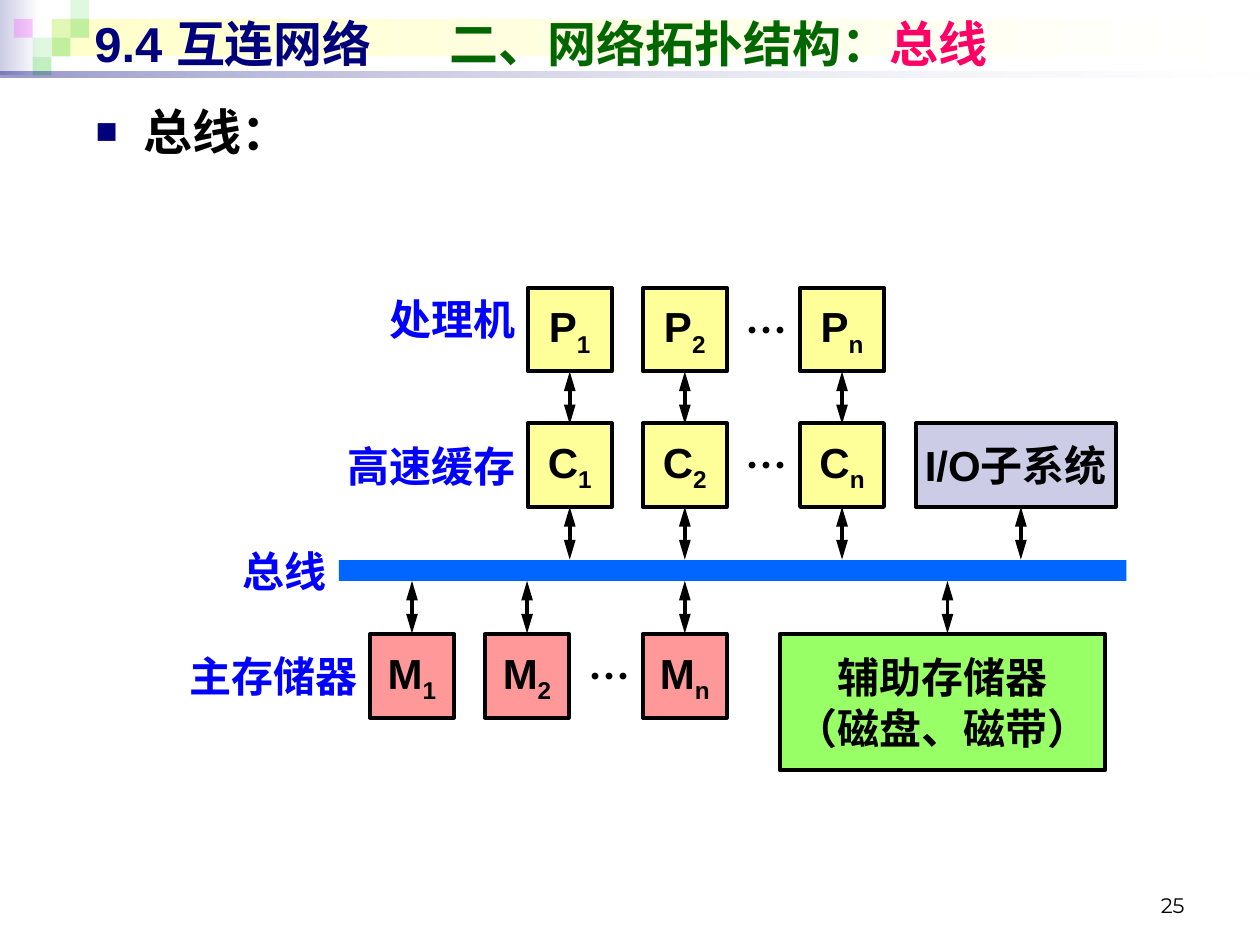
from pptx import Presentation
from pptx.dml.color import RGBColor
from pptx.enum.shapes import MSO_CONNECTOR as Connector, MSO_SHAPE as Shape
from pptx.enum.text import MSO_ANCHOR as Anchor, MSO_AUTO_SIZE as AutoSize, PP_ALIGN as Align
from pptx.oxml.ns import qn
from pptx.util import Cm, Pt
from lxml.etree import SubElement

BLACK = RGBColor(0x00, 0x00, 0x00)
WHITE = RGBColor(0xFF, 0xFF, 0xFF)
NAVY = RGBColor(0x00, 0x00, 0x7D)
DARK_GREEN = RGBColor(0x00, 0x66, 0x00)
PINK = RGBColor(0xFF, 0x00, 0x66)
LABEL_BLUE = RGBColor(0x00, 0x00, 0xFF)
BUS_BLUE = RGBColor(0x00, 0x66, 0xFF)
YELLOW = RGBColor(0xFF, 0xFF, 0x99)
CREAM = RGBColor(0xFF, 0xFF, 0xCC)
LAVENDER = RGBColor(0xCC, 0xCC, 0xE6)
SALMON = RGBColor(0xFF, 0x99, 0x99)
LIME = RGBColor(0x99, 0xFF, 0x66)
GREEN = RGBColor(0x33, 0xCC, 0x33)
MAGENTA = RGBColor(0xFF, 0x00, 0xFF)

CHINESE_FONT = "Noto Sans CJK SC"
BOX = 1.69
ARROW = 1.06
PROCESSOR_TOP = 5.8
CACHE_TOP = 8.53
BUS_TOP = 11.29
BUS_HEIGHT = 0.42
MEMORY_TOP = 12.78
PROCESSOR_COLUMNS = {"1": 10.64, "2": 12.96, "n": 16.13}
MEMORY_COLUMNS = {"1": 7.46, "2": 9.78, "n": 12.96}
TILE = 0.38


def format_paragraph(paragraph, size, color, name="Arial", bold=True, align=Align.LEFT):
    paragraph.alignment = align
    font = paragraph.font
    font.size, font.bold, font.name = Pt(size), bold, name
    font.color.rgb = color
    SubElement(font._element, qn("a:ea"), typeface=CHINESE_FONT)


def add_rectangle(slide, left, top, width, height):
    shape = slide.shapes.add_shape(Shape.RECTANGLE, Cm(left), Cm(top), Cm(width), Cm(height))
    shape.shadow.inherit = False
    shape.line.fill.background()
    return shape


def set_opacity(shape, *percents):
    colors = shape._element.spPr.iter(qn("a:srgbClr"))
    for color, percent in zip(list(colors), percents):
        SubElement(color, qn("a:alpha"), val=str(percent * 1000))


def add_solid(slide, left, top, width, height, color):
    shape = add_rectangle(slide, left, top, width, height)
    shape.fill.solid()
    shape.fill.fore_color.rgb = color
    return shape


def add_gradient(slide, left, top, width, height, start):
    shape = add_rectangle(slide, left, top, width, height)
    shape.fill.gradient()
    shape.fill.gradient_angle = 0
    for stop, color, position in zip(shape.fill.gradient_stops, (start, WHITE), (0, 1)):
        stop.color.rgb = color
        stop.position = position
    return shape


def add_box(slide, left, top, width, height, color, text, subscript=""):
    shape = add_solid(slide, left, top, width, height, color)
    shape.line.color.rgb = BLACK
    shape.line.width = Pt(2.25)
    frame = shape.text_frame
    frame.word_wrap = False
    frame.vertical_anchor = Anchor.MIDDLE
    frame.text = text
    paragraph = frame.paragraphs[0]
    if subscript:
        run = paragraph.add_run()
        run.text = subscript
        run.font._element.set("baseline", "-25000")
    format_paragraph(paragraph, 24, BLACK, align=Align.CENTER)


def add_text(slide, left, top, width, height, text):
    frame = slide.shapes.add_textbox(Cm(left), Cm(top), Cm(width), Cm(height)).text_frame
    frame.word_wrap = True
    frame.text = text
    return frame


def add_label(slide, right, top, width, text, color=LABEL_BLUE, name="Arial"):
    frame = add_text(slide, right - width, top, width, 1.27, text)
    format_paragraph(frame.paragraphs[0], 24, color, name, align=Align.RIGHT)


def add_arrow(slide, x, top):
    connector = slide.shapes.add_connector(
        Connector.STRAIGHT, Cm(x), Cm(top), Cm(x), Cm(top + ARROW))
    connector.line.color.rgb = BLACK
    connector.line.width = Pt(2.25)
    line = connector.line._get_or_add_ln()
    for end in ("a:headEnd", "a:tailEnd"):
        SubElement(line, qn(end), type="triangle", w="med", len="lg")
    SubElement(connector._element.spPr, qn("a:effectLst"))


def add_decoration(slide):
    add_gradient(slide, 0, 0, 0.8, 1.52, LAVENDER)
    add_gradient(slide, 1.04, 0.38, 24.26, 0.76, CREAM)
    tiles = [(2, 1, GREEN, 15), (3, 0, GREEN, 15), (3, 1, GREEN, 30), (1, 2, GREEN, 15),
             (0, 1, MAGENTA, 20), (2, 2, GREEN, 30), (1, 3, GREEN, 30)]
    for column, row, color, opacity in tiles:
        tile = add_solid(slide, 0.28 + column * TILE, row * TILE, TILE, TILE, color)
        set_opacity(tile, opacity)
    set_opacity(add_gradient(slide, 0, 1.44, 25.4, 0.13, NAVY), 40, 10)


def add_title(slide):
    title = slide.shapes.title
    title.left, title.top, title.width, title.height = Cm(1.65), Cm(0.13), Cm(22.86), Cm(1.45)
    slide.shapes._spTree.append(title._element)
    frame = title.text_frame
    frame.auto_size = AutoSize.NONE
    frame.vertical_anchor = Anchor.MIDDLE
    paragraph = frame.paragraphs[0]
    tabs = SubElement(paragraph._p.get_or_add_pPr(), qn("a:tabLst"))
    SubElement(tabs, qn("a:tab"), pos=str(Cm(7.16)), algn="l")
    for text, color in (("9.4 互连网络\t", NAVY), ("二、网络拓扑结构：", DARK_GREEN), ("总线", PINK)):
        run = paragraph.add_run()
        run.text = text
        run.font.color.rgb = color
    format_paragraph(paragraph, 28, NAVY)


def add_bullet(slide, text):
    paragraph = add_text(slide, 1.68, 1.93, 22.02, 1.6, text).paragraphs[0]
    properties = paragraph._p.get_or_add_pPr()
    properties.set("marL", str(Cm(0.97)))
    properties.set("indent", str(-Cm(0.97)))
    SubElement(SubElement(properties, qn("a:buClr")), qn("a:srgbClr"), val=str(NAVY))
    SubElement(properties, qn("a:buSzPct"), val="75000")
    SubElement(properties, qn("a:buFont"), typeface="Arial")
    SubElement(properties, qn("a:buChar"), char="■")
    format_paragraph(paragraph, 28, BLACK, "Times New Roman")


def add_row(slide, letter, columns, top, color, arrow_top):
    for subscript, left in columns.items():
        add_box(slide, left, top, BOX, BOX, color, letter, subscript)
        add_arrow(slide, left + BOX / 2, arrow_top)
    add_label(slide, columns["n"], top + 0.21, 1.48, "…", BLACK, CHINESE_FONT)


def add_diagram(slide):
    add_solid(slide, 6.83, BUS_TOP, 15.88, BUS_HEIGHT, BUS_BLUE)
    bus_bottom = BUS_TOP + BUS_HEIGHT
    cache_bottom = CACHE_TOP + BOX
    add_row(slide, "P", PROCESSOR_COLUMNS, PROCESSOR_TOP, YELLOW, PROCESSOR_TOP + BOX)
    add_row(slide, "C", PROCESSOR_COLUMNS, CACHE_TOP, YELLOW, cache_bottom)
    add_row(slide, "M", MEMORY_COLUMNS, MEMORY_TOP, SALMON, bus_bottom)
    add_box(slide, 18.47, CACHE_TOP, 4.02, BOX, LAVENDER, "I/O子系统")
    add_arrow(slide, 20.58, cache_bottom)
    add_box(slide, 15.72, MEMORY_TOP, 6.56, 2.75, LIME, "辅助存储器\v（磁盘、磁带）")
    add_arrow(slide, 19.1, bus_bottom)
    for text, right, top, width in (("处理机", 10.64, 5.8, 3.18), ("高速缓存", 10.64, 8.75, 4.02),
                                    ("总线", 6.83, 10.87, 2.54), ("主存储器", 7.46, 12.99, 4.02)):
        add_label(slide, right, top, width, text)


def add_page_number(slide, text):
    frame = add_text(slide, 18.2, 17.35, 5.93, 1.27, text)
    frame.vertical_anchor = Anchor.BOTTOM
    format_paragraph(frame.paragraphs[0], 12, BLACK, "Montserrat", False, Align.RIGHT)


def main():
    presentation = Presentation()
    presentation.slide_width, presentation.slide_height = Cm(25.4), Cm(19.05)
    slide = presentation.slides.add_slide(presentation.slide_layouts[5])
    add_decoration(slide)
    add_title(slide)
    add_bullet(slide, "总线：")
    add_diagram(slide)
    add_page_number(slide, "25")
    presentation.save("out.pptx")


if __name__ == "__main__":
    main()
